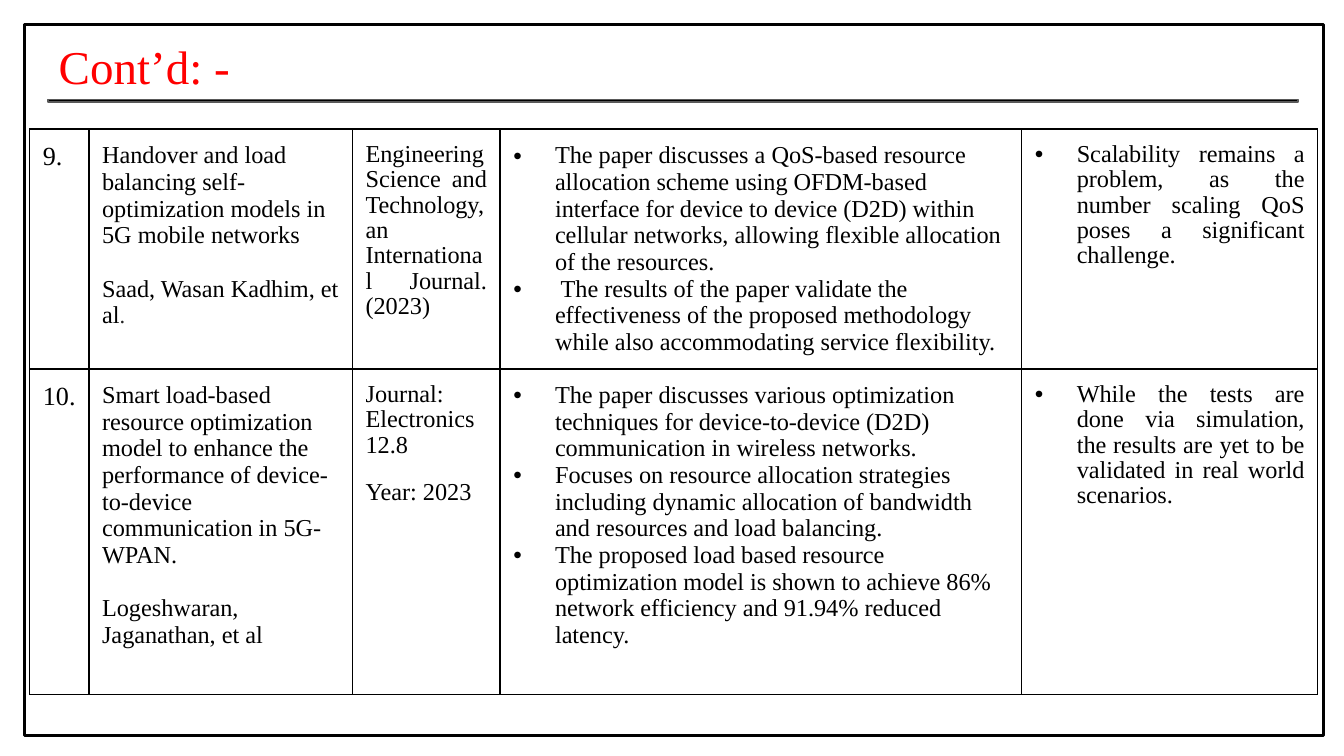
from dataclasses import dataclass

import pptx
import pptx.dml.color
import pptx.enum.shapes
import pptx.enum.text
import pptx.oxml
import pptx.oxml.ns
import pptx.util
from pptx.util import Cm


@dataclass(frozen=True)
class Theme:
    font: str = "Times New Roman"
    black: str = "000000"
    red: str = "FF0000"
    charcoal: str = "222222"
    gray: str = "595959"
    title_size: float = 25.2
    number_size: float = 14
    body_size: float = 13
    small_size: float = 12
    thin_line: float = 0.75
    frame_line: float = 1.5


THEME = Theme()
ALIGN = pptx.enum.text.PP_ALIGN
INSET = Cm(0.25)
BULLET_INDENT = Cm(0.79)
COLUMN_WIDTHS = (1.12, 4.98, 2.79, 9.86, 5.59)
ROW_HEIGHTS = (3.86, 6.15)
JUSTIFIED = dict(align=ALIGN.JUSTIFY, line_spacing=0.95, space_after=12)
COLUMN_FORMATS = (
    dict(size=THEME.number_size),
    dict(gap=14.3),
    JUSTIFIED,
    dict(bullet=True),
    dict(bullet=True, **JUSTIFIED),
)
PAPERS = (
    (
        ["9."],
        ["Handover and load balancing self-optimization models in 5G mobile networks",
         "Saad, Wasan Kadhim, et al"],
        ["Engineering Science and Technology, an International Journal. (2023)"],
        ["The paper discusses a QoS-based resource allocation scheme using OFDM-based interface "
         "for device to device (D2D) within cellular networks, allowing flexible allocation of the resources.",
         " The results of the paper validate the effectiveness of the proposed methodology "
         "while also accommodating service flexibility."],
        ["Scalability remains a problem, as the number scaling QoS poses a significant challenge."],
    ),
    (
        ["10."],
        ["Smart load-based resource optimization model to enhance the performance of "
         "device-to-device communication in 5G-WPAN.",
         "Logeshwaran, Jaganathan, et al"],
        ["Journal: Electronics 12.8", "Year: 2023"],
        ["The paper discusses various optimization techniques for device-to-device (D2D) "
         "communication in wireless networks.",
         "Focuses on resource allocation strategies including dynamic allocation of bandwidth "
         "and resources and load balancing.",
         "The proposed load based resource optimization model is shown to achieve 86% network "
         "efficiency and 91.94% reduced latency."],
        ["While the tests are done via simulation, the results are yet to be validated in real world scenarios."],
    ),
)


def rgb(color):
    return pptx.dml.color.RGBColor.from_string(color)


def element(xml):
    return pptx.oxml.parse_xml(xml.replace(">", f" {pptx.oxml.ns.nsdecls('a')}>", 1))


def write_text(paragraph, text, size=THEME.body_size, color=THEME.black, align=ALIGN.LEFT,
               line_spacing=1.0, space_before=0, space_after=0, bullet=False):
    run = paragraph.add_run()
    run.text = text
    run.font.name = THEME.font
    run.font.size = pptx.util.Pt(size)
    run.font.color.rgb = rgb(color)
    paragraph.alignment = align
    paragraph.line_spacing = line_spacing
    paragraph.space_before = pptx.util.Pt(space_before)
    paragraph.space_after = pptx.util.Pt(space_after)
    if bullet:
        properties = paragraph._p.get_or_add_pPr()
        properties.set("marL", str(BULLET_INDENT))
        properties.set("indent", str(-BULLET_INDENT))
        properties.append(element(f'<a:buClr><a:srgbClr val="{THEME.black}"/></a:buClr>'))
        properties.append(element('<a:buFont typeface="Arial"></a:buFont>'))
        properties.append(element('<a:buChar char="•"></a:buChar>'))


def add_rectangle(slide, box, line_color, line_width, fill=None):
    shape = slide.shapes.add_shape(pptx.enum.shapes.MSO_SHAPE.RECTANGLE, *box)
    shape.shadow.inherit = False
    if fill:
        shape.fill.solid()
        shape.fill.fore_color.rgb = rgb(fill)
    else:
        shape.fill.background()
    shape.line.color.rgb = rgb(line_color)
    shape.line.width = pptx.util.Pt(line_width)


def add_heading(slide, box, text):
    left, top, width, height = box
    title = slide.shapes.title
    title.left, title.top, title.width, title.height = box
    frame = title.text_frame
    frame.auto_size = pptx.enum.text.MSO_AUTO_SIZE.NONE
    frame.word_wrap = True
    frame.vertical_anchor = pptx.enum.text.MSO_ANCHOR.BOTTOM
    frame.margin_left = frame.margin_right = frame.margin_top = frame.margin_bottom = INSET
    write_text(frame.paragraphs[0], text, size=THEME.title_size, color=THEME.red)
    rule_box = (left + Cm(0.05), top + Cm(1.45), width - Cm(0.05), Cm(0.05))
    add_rectangle(slide, rule_box, THEME.gray, THEME.thin_line, fill=THEME.black)


def add_borders(cell):
    properties = cell._tc.get_or_add_tcPr()
    width = pptx.util.Pt(THEME.thin_line)
    for position, side in enumerate(("lnL", "lnR", "lnT", "lnB")):
        properties.insert(position, element(
            f'<a:{side} w="{width}"><a:solidFill><a:srgbClr val="{THEME.black}"/></a:solidFill></a:{side}>'))


def fill_cell(cell, texts, gap=0, **text_format):
    cell.fill.background()
    cell.margin_left = cell.margin_right = cell.margin_top = cell.margin_bottom = INSET
    add_borders(cell)
    for index, text in enumerate(texts):
        paragraph = cell.text_frame.add_paragraph() if index else cell.text_frame.paragraphs[0]
        write_text(paragraph, text, space_before=gap if index else 0, **text_format)


def add_paper_table(slide, box):
    table = slide.shapes.add_table(len(ROW_HEIGHTS), len(COLUMN_WIDTHS), *box).table
    table.first_row = table.horz_banding = False
    for column, width in zip(table.columns, COLUMN_WIDTHS):
        column.width = Cm(width)
    for row, height, paper in zip(table.rows, ROW_HEIGHTS, PAPERS):
        row.height = Cm(height)
        for cell, texts, text_format in zip(row.cells, paper, COLUMN_FORMATS):
            fill_cell(cell, texts, **text_format)
    author = table.cell(0, 1).text_frame.paragraphs[-1]
    write_text(author, ".", size=THEME.small_size, color=THEME.charcoal, space_before=14.3)


def main():
    presentation = pptx.Presentation()
    presentation.slide_width = Cm(25.4)
    presentation.slide_height = Cm(14.29)
    slide = presentation.slides.add_slide(presentation.slide_layouts[5])
    add_heading(slide, (Cm(0.86), Cm(0.43), Cm(23.67), Cm(1.6)), "Cont’d: -")
    add_paper_table(slide, (Cm(0.56), Cm(2.44), Cm(24.34), Cm(11.05)))
    add_rectangle(slide, (Cm(0.46), Cm(0.46), Cm(24.56), Cm(13.44)), THEME.black, THEME.frame_line)
    presentation.save("out.pptx")


if __name__ == "__main__":
    main()
